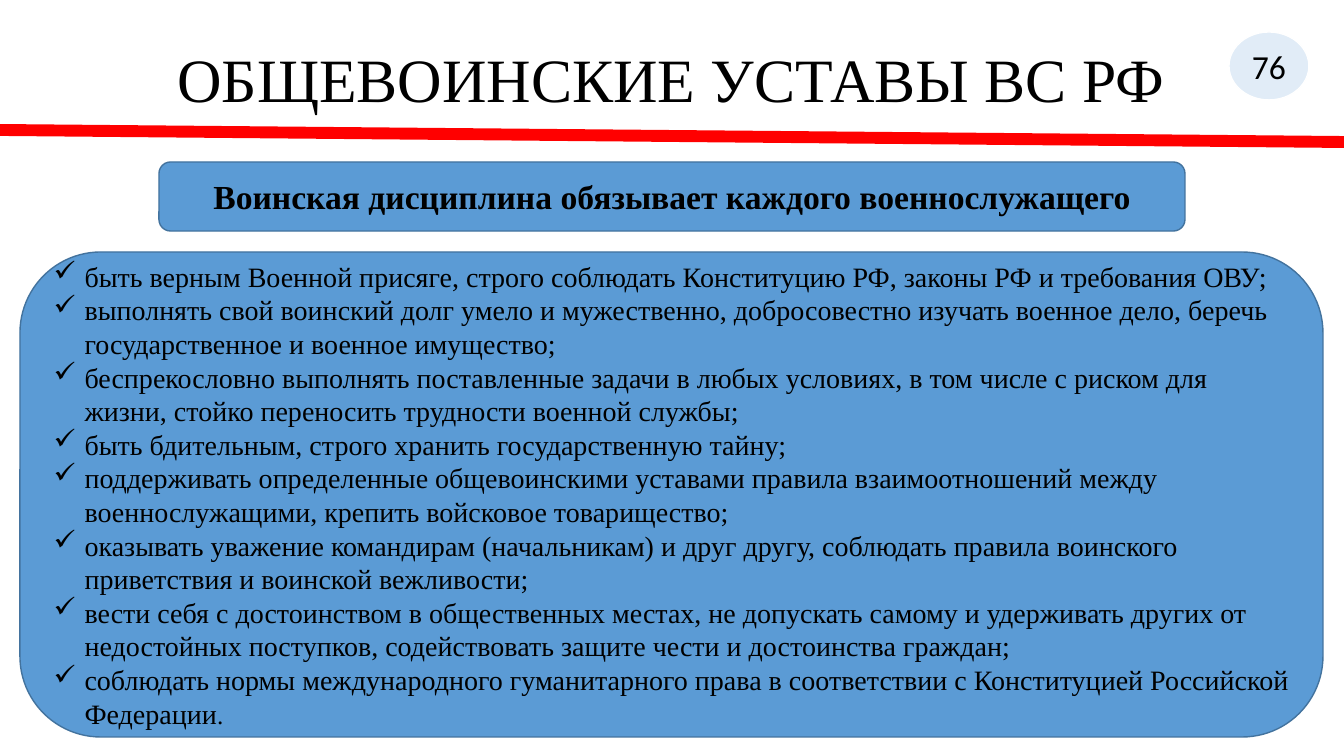
from lxml import etree
from pptx import Presentation
from pptx import util as u
from pptx.dml.color import RGBColor
from pptx.enum import shapes, text
from pptx.oxml import ns

PX = 12192000 / 1344
SERIF = "Times New Roman"
BLUE, EDGE, BLACK, WHITE, RED = "5B9BD5", "43739E", "000000", "FFFFFF", "FF0000"

DUTIES = [
    "быть верным Военной присяге, строго соблюдать Конституцию РФ, законы РФ и требования ОВУ;",
    "выполнять свой воинский долг умело и мужественно, добросовестно изучать военное дело, беречь государственное и военное имущество;",
    "беспрекословно выполнять поставленные задачи в любых условиях, в том числе с риском для жизни, стойко переносить трудности военной службы;",
    "быть бдительным, строго хранить государственную тайну;",
    "поддерживать определенные общевоинскими уставами правила взаимоотношений между военнослужащими, крепить войсковое товарищество;",
    "оказывать уважение командирам (начальникам) и друг другу, соблюдать правила воинского приветствия и воинской вежливости;",
    "вести себя с достоинством в общественных местах, не допускать самому и удерживать других от недостойных поступков, содействовать защите чести и достоинства граждан;",
    "соблюдать нормы международного гуманитарного права в соответствии с Конституцией Российской Федерации",
]


def px(n):
    return u.Emu(round(n * PX))


def rgb(value):
    return RGBColor.from_string(value)


def child(parent, tag, **attrs):
    return etree.SubElement(parent, ns.qn(tag), attrs)


def set_font(p, size, name=SERIF, bold=False):
    p.font.size = u.Pt(size)
    p.font.name = name
    p.font.bold = bold
    p.font.color.rgb = rgb(BLACK)


def add_panel(s, kind, box, line):
    sp = s.shapes.add_shape(kind, *map(px, box))
    sp.shadow.inherit = False
    sp.fill.solid()
    sp.fill.fore_color.rgb = rgb(BLUE)
    sp.line.color.rgb = rgb(line)
    sp.line.width = u.Pt(1)
    sp.text_frame.word_wrap = True
    sp.text_frame.vertical_anchor = text.MSO_ANCHOR.MIDDLE
    return sp


def add_label(sp, label, size, name=SERIF, bold=False):
    p = sp.text_frame.paragraphs[0]
    p.text = label
    p.alignment = text.PP_ALIGN.CENTER
    set_font(p, size, name, bold)
    return p


def add_title(s, box):
    sp = s.shapes.add_textbox(*map(px, box))
    tf = sp.text_frame
    tf.word_wrap = True
    tf.vertical_anchor = text.MSO_ANCHOR.TOP
    tf.margin_top = px(9)
    p = add_label(sp, "ОБЩЕВОИНСКИЕ УСТАВЫ ВС РФ", 44)
    p.line_spacing = 0.9


def add_rule(s, box):
    x, y, w, h = box
    line = s.shapes.add_connector(
        shapes.MSO_CONNECTOR.STRAIGHT, px(x), px(y), px(x + w), px(y + h))
    line.line.color.rgb = rgb(RED)
    line.line.width = u.Pt(8.5)
    child(line._element.spPr, "a:effectLst")


def add_page_badge(s, box):
    sp = add_panel(s, shapes.MSO_SHAPE.OVAL, box, WHITE)
    color = sp._element.spPr.find(ns.qn("a:solidFill"))[0]
    child(color, "a:alpha", val="18000")
    sp.text_frame.margin_left = sp.text_frame.margin_right = 0
    add_label(sp, "76", 24, "Calibri")


def add_heading(s, box):
    sp = add_panel(s, shapes.MSO_SHAPE.ROUNDED_RECTANGLE, box, EDGE)
    add_label(sp, "Воинская дисциплина обязывает каждого военнослужащего", 24, bold=True)


def add_duties(s, box):
    tf = add_panel(s, shapes.MSO_SHAPE.ROUNDED_RECTANGLE, box, EDGE).text_frame
    for i, duty in enumerate(DUTIES):
        p = tf.add_paragraph() if i else tf.paragraphs[0]
        p.text = duty
        p.alignment = text.PP_ALIGN.LEFT
        pPr = p._p.get_or_add_pPr()
        pPr.set("marL", str(px(31)))
        pPr.set("indent", str(-px(31)))
        child(pPr, "a:buChar", char="✓")
        set_font(p, 20)
    r = p.add_run()
    r.text = "."
    r.font.size = u.Pt(18)


def main():
    prs = Presentation()
    prs.slide_width, prs.slide_height = px(1344), px(756)
    s = prs.slides.add_slide(prs.slide_layouts[6])
    add_title(s, (92, 40, 1159, 146))
    add_rule(s, (0, 130, 1344, 12))
    add_page_badge(s, (1229, 32, 80, 68))
    add_heading(s, (159, 162, 1026, 69))
    add_duties(s, (20, 252, 1303, 485))
    prs.save("out.pptx")


if __name__ == "__main__":
    main()
